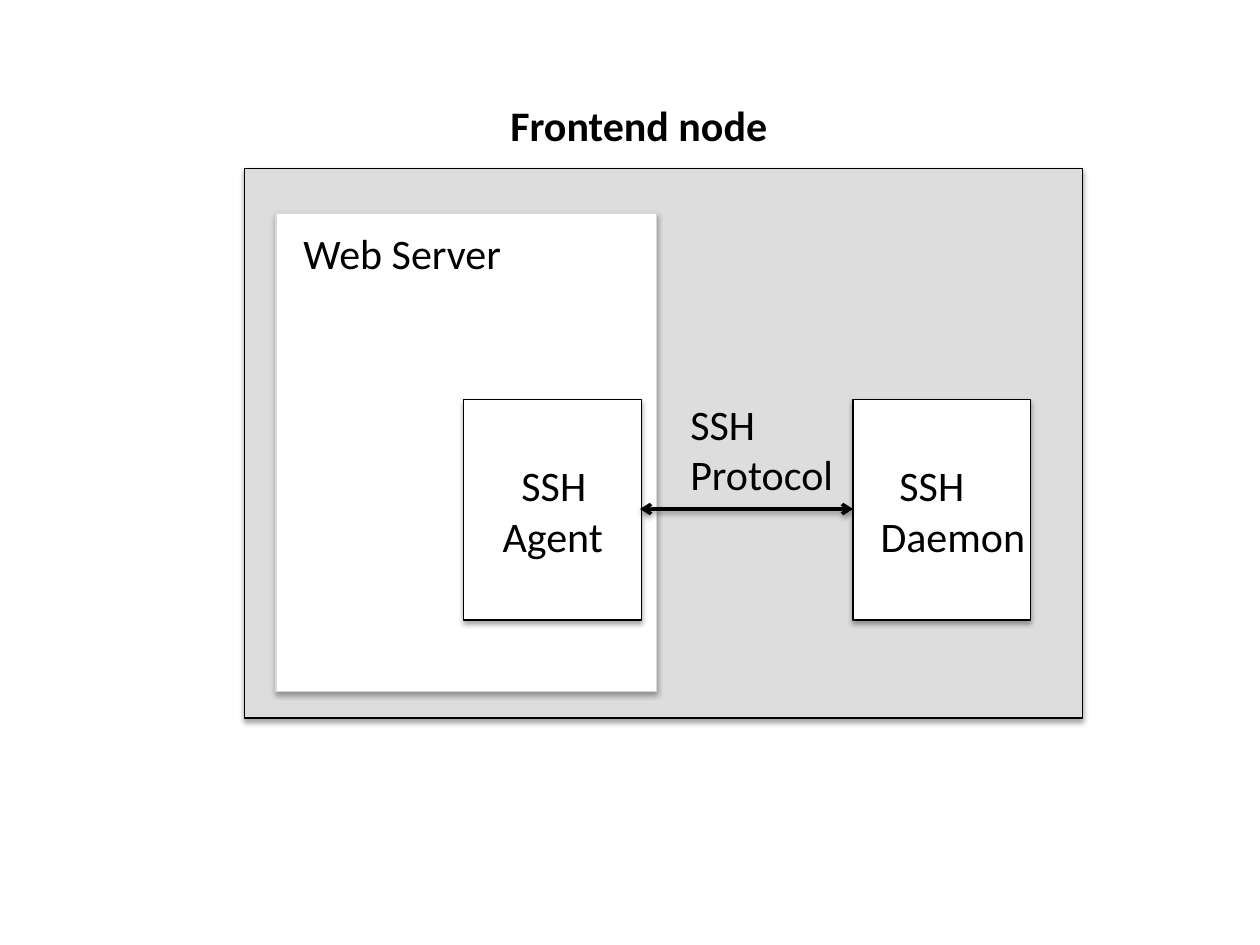
from lxml import etree
from pptx import Presentation
from pptx.dml.color import RGBColor
from pptx.enum.shapes import MSO_CONNECTOR as Connector, MSO_SHAPE as Shape
from pptx.enum.text import MSO_ANCHOR as Anchor, MSO_AUTO_SIZE as AutoSize, PP_ALIGN as Align
from pptx.oxml.ns import qn
from pptx.util import Inches, Pt

TITLE = ("Frontend node", (3.95, 0.74, 2.82, 0.5))
PANELS = [
    ((1.94, 1.34, 6.65, 4.36), "DDDDDD", "000000"),
    ((2.19, 1.69, 3.02, 3.8), "FFFFFF", "D8D8D8"),
    ((3.68, 3.17, 1.41, 1.75), "FFFFFF", "000000"),
    ((6.77, 3.17, 1.41, 1.75), "FFFFFF", "000000"),
]
LABELS = [
    ((2.31, 1.76, 2.78, 0.91), [("Web Server", 0)]),
    ((3.74, 3.6, 2.78, 1.31), [("SSH", 0.3), ("Agent", 0.15)]),
    ((6.74, 3.6, 2.78, 1.31), [("SSH", 0.3), ("Daemon", 0.15)]),
    ((5.38, 3.11, 2.78, 1.31), [("SSH", 0), ("Protocol", 0)]),
]
ARROW = (5.08, 4.04, 6.77, 4.04)


def color(value):
    return RGBColor.from_string(value)


def inches(values):
    return [Inches(value) for value in values]


def add_shadow(shape, opacity, distance):
    effects = etree.SubElement(shape._element.spPr, qn("a:effectLst"))
    shadow = etree.SubElement(
        effects, qn("a:outerShdw"), blurRad=str(Pt(3.1)), dist=str(Pt(distance)),
        dir="5400000", algn="ctr", rotWithShape="0")
    black = etree.SubElement(shadow, qn("a:srgbClr"), val="000000")
    etree.SubElement(black, qn("a:alpha"), val=str(opacity * 1000))


def add_panel(page, place, fill, line):
    panel = page.shapes.add_shape(Shape.RECTANGLE, *inches(place))
    panel.fill.solid()
    panel.fill.fore_color.rgb = color(fill)
    panel.line.color.rgb = color(line)
    panel.line.width = Pt(0.75)
    add_shadow(panel, 35, 1.8)


def write_lines(box, lines, bold=False):
    frame = box.text_frame
    frame.word_wrap = True
    frame.auto_size = AutoSize.NONE
    frame.vertical_anchor = Anchor.TOP
    frame.text = "\n".join(text for text, indent in lines)
    for para, (text, indent) in zip(frame.paragraphs, lines):
        para.alignment = Align.LEFT
        para._p.get_or_add_pPr().set("marL", str(Inches(indent)))
        para.font.name = "Calibri"
        para.font.size = Pt(24)
        para.font.bold = bold
        para.font.color.rgb = color("000000")


def add_arrow(page, ends):
    arrow = page.shapes.add_connector(Connector.STRAIGHT, *inches(ends))
    arrow.line.color.rgb = color("000000")
    arrow.line.width = Pt(2)
    for end in ("a:headEnd", "a:tailEnd"):
        etree.SubElement(arrow.line._get_or_add_ln(), qn(end), type="arrow")
    add_shadow(arrow, 38, 1.6)


def main():
    """Build the frontend node diagram and save it."""
    deck = Presentation()
    deck.slide_width, deck.slide_height = inches((10, 7.5))
    page = deck.slides.add_slide(deck.slide_layouts[5])
    text, place = TITLE
    title = page.shapes.title
    title.left, title.top, title.width, title.height = inches(place)
    write_lines(title, [(text, 0)], bold=True)
    for panel in PANELS:
        add_panel(page, *panel)
    add_arrow(page, ARROW)
    for place, lines in LABELS:
        write_lines(page.shapes.add_textbox(*inches(place)), lines)
    deck.save("out.pptx")


if __name__ == "__main__":
    main()
